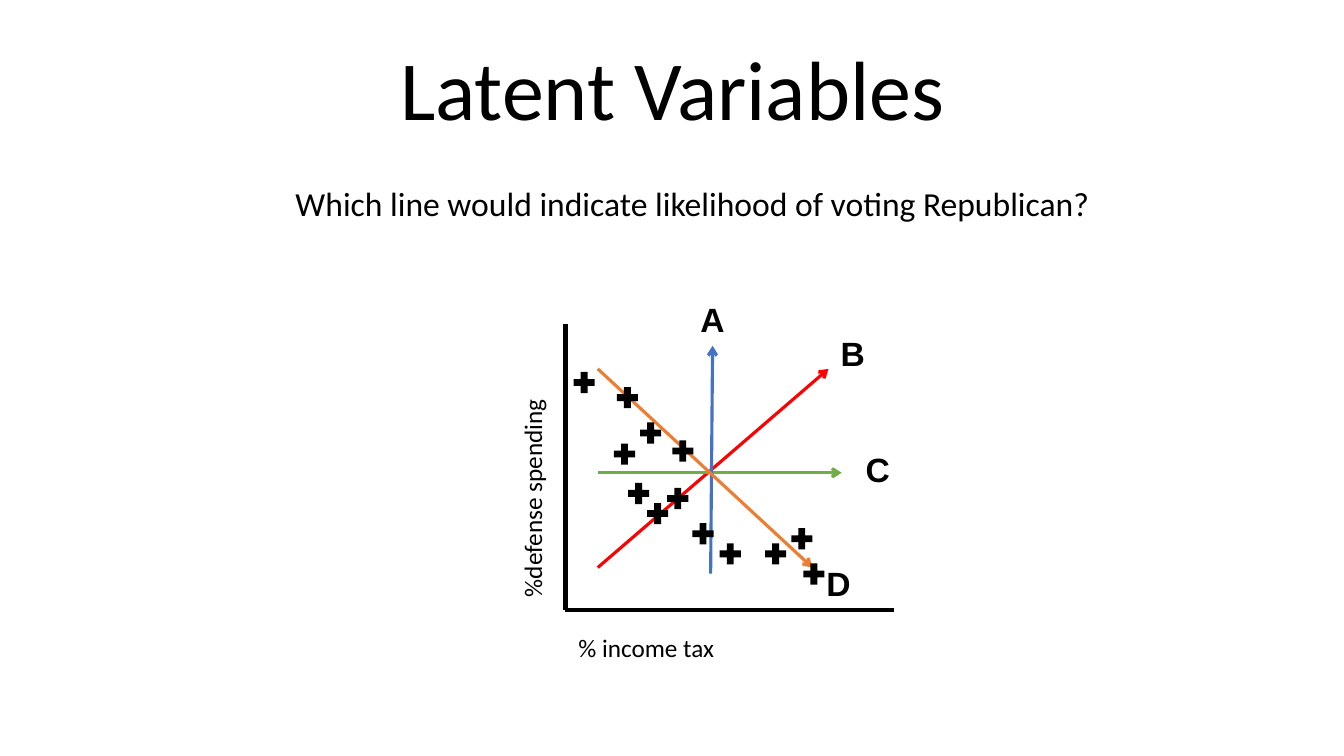
import pptx
import pptx.util
import pptx.dml.color
import pptx.enum.shapes
import pptx.enum.text
import pptx.oxml
import pptx.oxml.ns

Pt = pptx.util.Pt
RGBColor = pptx.dml.color.RGBColor
PP_ALIGN = pptx.enum.text.PP_ALIGN
MSO_ANCHOR = pptx.enum.text.MSO_ANCHOR
MSO_AUTO_SIZE = pptx.enum.text.MSO_AUTO_SIZE

BLACK = RGBColor(0x00, 0x00, 0x00)
RED = RGBColor(0xFF, 0x00, 0x00)
GREEN = RGBColor(0x70, 0xAD, 0x47)
BLUE = RGBColor(0x44, 0x72, 0xC4)
ORANGE = RGBColor(0xED, 0x7D, 0x31)

PLUS_SIZE = 15.1
ORIGIN = (403.9, 435.6)
AXIS_TOP = (403.9, 231.1)
AXIS_RIGHT = (638.6, 435.6)

# Candidate lines: start, end, colour
CANDIDATES = [
    ((427, 405.4), (591.8, 263.5), RED),
    ((427, 337.7), (601.2, 337.7), GREEN),
    ((507.6, 409.7), (509, 247), BLUE),
    ((427, 263.5), (580.3, 405.4), ORANGE),
]

# Left and top of each letter
LETTERS = {
    "A": (493.2, 210.2),
    "B": (593.3, 234),
    "C": (611.3, 316.8),
    "D": (583.2, 398.2),
}

# Left and top of each data point
POINTS = [
    (546.5, 388.1), (476.6, 348.5), (457.2, 301.7), (480.2, 314.6),
    (448.6, 344.9), (440.6, 276.5), (494.6, 373.7), (573.8, 402.5),
    (438.5, 316.8), (462.2, 359.3), (514.1, 388.1), (409.7, 265.7),
    (565.2, 377.3),
]


def add_text(slide, text, left, top, width, height, *, size, font="Calibri",
             bold=False, align=PP_ALIGN.LEFT, anchor=MSO_ANCHOR.TOP,
             wrap=True, grow=True, line_spacing=None, space_before=None,
             rotation=0):
    sp = slide.shapes.add_textbox(Pt(left), Pt(top), Pt(width), Pt(height))
    sp.rotation = rotation
    tf = sp.text_frame
    tf.word_wrap = wrap
    tf.auto_size = (MSO_AUTO_SIZE.SHAPE_TO_FIT_TEXT if grow
                    else MSO_AUTO_SIZE.NONE)
    tf.vertical_anchor = anchor
    p = tf.paragraphs[0]
    p.alignment = align
    p.line_spacing = line_spacing
    if space_before is not None:
        p.space_before = Pt(space_before)
    r = p.add_run()
    r.text = text
    r.font.name = font
    r.font.size = Pt(size)
    r.font.bold = bold
    r.font.color.rgb = BLACK


def add_line(slide, start, end, color, width, arrow=False):
    line = slide.shapes.add_connector(
        pptx.enum.shapes.MSO_CONNECTOR.STRAIGHT,
        Pt(start[0]), Pt(start[1]), Pt(end[0]), Pt(end[1]))
    line.line.color.rgb = color
    line.line.width = Pt(width)
    if arrow:
        ln = line.line._get_or_add_ln()
        ln.append(pptx.oxml.parse_xml(
            f'<a:tailEnd {pptx.oxml.ns.nsdecls("a")} type="arrow"/>'))
    line._element.spPr.append(pptx.oxml.parse_xml(
        f'<a:effectLst {pptx.oxml.ns.nsdecls("a")}/>'))


def add_plus(slide, left, top):
    sp = slide.shapes.add_shape(
        pptx.enum.shapes.MSO_SHAPE.CROSS,
        Pt(left), Pt(top), Pt(PLUS_SIZE), Pt(PLUS_SIZE))
    sp.adjustments[0] = 0.338
    sp.shadow.inherit = False
    sp.fill.solid()
    sp.fill.fore_color.rgb = BLACK
    sp.line.fill.background()


def main():
    prs = pptx.Presentation()
    prs.slide_width = Pt(960)
    prs.slide_height = Pt(540)
    slide = prs.slides.add_slide(prs.slide_layouts[6])

    # Candidate lines, behind the data
    for start, end, color in CANDIDATES:
        add_line(slide, start, end, color, 2.25, arrow=True)

    # Title and question
    add_text(slide, "Latent Variables", 174.2, -85, 612, 187.9, size=60,
             align=PP_ALIGN.CENTER, anchor=MSO_ANCHOR.BOTTOM, grow=False,
             line_spacing=0.9)
    add_text(slide,
             "Which line would indicate likelihood of voting Republican?",
             188.6, 130.3, 612, 130.3, size=24, align=PP_ALIGN.CENTER,
             grow=False, line_spacing=0.9, space_before=10)

    # Data points
    for left, top in POINTS:
        add_plus(slide, left, top)

    # Axes and their titles
    for end in (AXIS_TOP, AXIS_RIGHT):
        add_line(slide, end, ORIGIN, BLACK, 3)
    add_text(slide, "% income tax", 406.1, 447.8, 186.5, 29, size=18)
    add_text(slide, "%defense spending", 295.2, 334.1, 169.9, 29, size=18,
             rotation=270)

    # Letters of the candidate lines
    for letter, (left, top) in LETTERS.items():
        add_text(slide, letter, left, top, 32.4, 36, size=24, font="Arial",
                 bold=True, wrap=False)

    prs.save("out.pptx")


if __name__ == "__main__":
    main()
